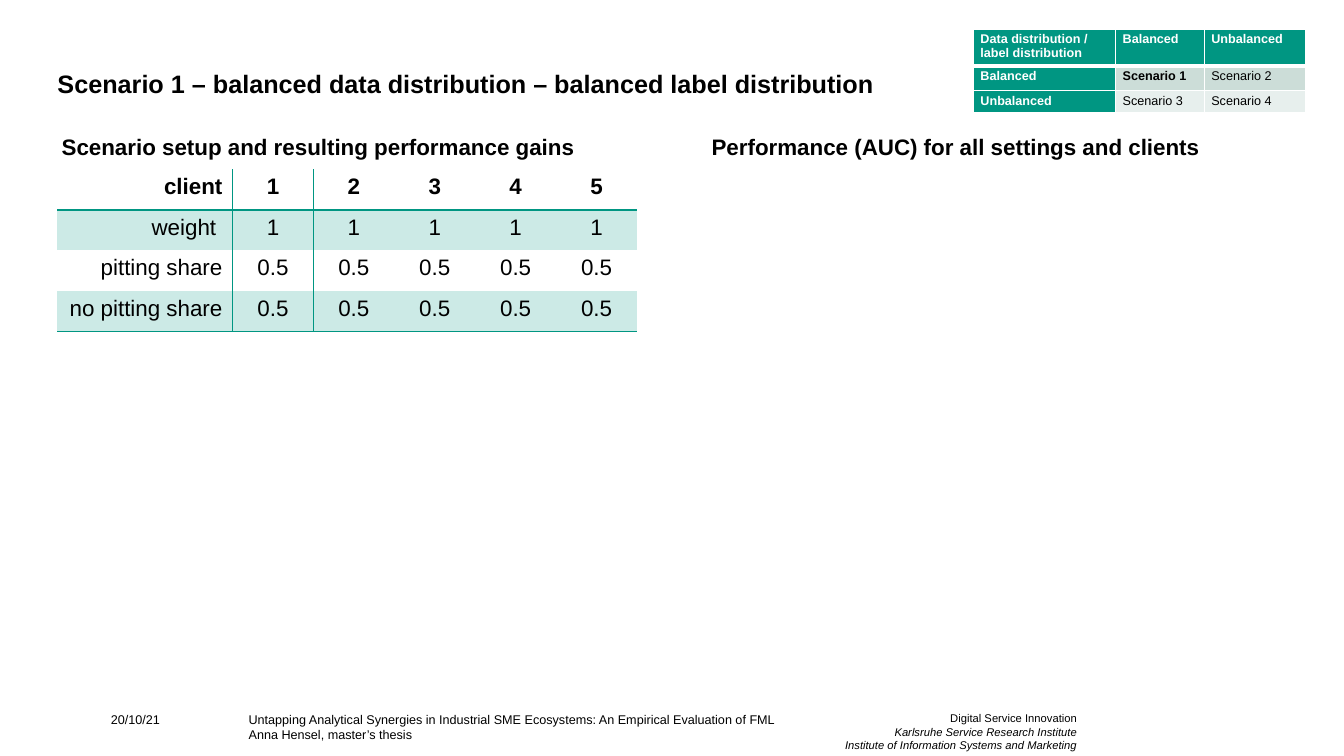
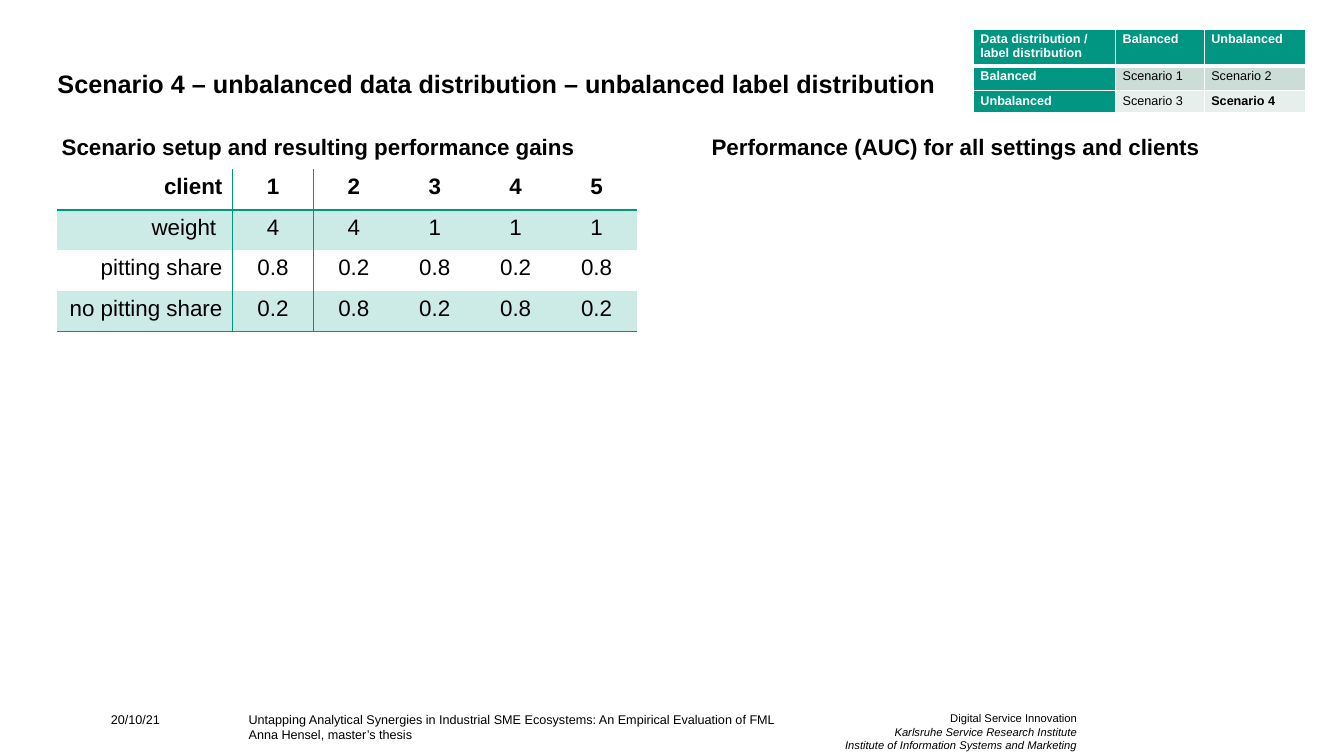
import dataclasses

import pptx
import pptx.dml.color
import pptx.enum.shapes
import pptx.enum.text
import pptx.oxml
import pptx.oxml.ns
import pptx.util


@dataclasses.dataclass(frozen=True)
class Theme:
    font: str = "Arial"
    ink: str = "000000"
    paper: str = "FFFFFF"
    green: str = "009682"
    mint: str = "CCEAE6"
    mid: str = "CCDDD8"
    pale: str = "E7EFED"
    title: int = 18
    body: int = 16
    small: int = 9
    tiny: int = 8


theme = Theme()
color = pptx.dml.color.RGBColor.from_string
ALIGN = pptx.enum.text.PP_ALIGN
ANCHOR = pptx.enum.text.MSO_ANCHOR
PLAIN = "{2D5ABB26-0587-4C30-8999-92F81FD0307C}"  # table style: no fill, no grid

deck = pptx.Presentation()
deck.slide_width = pptx.util.Inches(13.33)
deck.slide_height = pptx.util.Inches(7.5)
COL = deck.slide_width / 100
ROW = deck.slide_height / 100


def write(frame, text, size=theme.body, ink=theme.ink, bold=False, slant=(),
          align=ALIGN.LEFT, anchor=ANCHOR.TOP):
    """Fill a text frame, one paragraph a line; slant lists the italic lines."""
    frame.word_wrap = True
    frame.vertical_anchor = anchor
    frame.text = text
    for at, para in enumerate(frame.paragraphs):
        para.alignment = align
        font = para.font if not para.runs else para.runs[0].font
        font.name, font.size, font.bold = theme.font, pptx.util.Pt(size), bold
        font.italic = at in slant
        font.color.rgb = color(ink)


def grid(slide, left, top, cols, rows, cells, line, pad):
    """Add a table sized in percent; a cell is (text, fill, edges, format)."""
    box = [round(n) for n in (left * COL, top * ROW, sum(cols) * COL, sum(rows) * ROW)]
    table = slide.shapes.add_table(len(rows), len(cols), *box).table
    table.first_row = table.horz_banding = False
    table._tbl.tblPr.find(pptx.oxml.ns.qn("a:tableStyleId")).text = PLAIN
    for col, width in zip(table.columns, cols):
        col.width = round(width * COL)
    for row, height in zip(table.rows, rows):
        row.height = round(height * ROW)
    for r, row in enumerate(cells):
        for c, (text, fill, edges, form) in enumerate(row):
            cell = table.cell(r, c)
            write(cell.text_frame, text, **form)
            cell.margin_left = cell.margin_right = pptx.util.Inches(pad[0])
            cell.margin_top = cell.margin_bottom = pptx.util.Inches(pad[1])
            for side, width in edges:
                cell._tc.get_or_add_tcPr().append(pptx.oxml.parse_xml(
                    f'<a:ln{side} {pptx.oxml.ns.nsdecls("a")} w="{pptx.util.Pt(width)}">'
                    f'<a:solidFill><a:srgbClr val="{line}"/></a:solidFill>'
                    f'</a:ln{side}>'))
            if fill:
                cell.fill.solid()
                cell.fill.fore_color.rgb = color(fill)
    return table


LEFT = 4.28
FOOT = 94.13
FOOTER = [
    (8.25, 9.45, "20/10/21", dict(size=theme.small)),
    (18.5, 45.69,
     "Untapping Analytical Synergies in Industrial SME Ecosystems: "
     "An Empirical Evaluation of FML\nAnna Hensel, master’s thesis",
     dict(size=theme.small)),
    (62.3, 17.85,
     "Digital Service Innovation\nKarlsruhe Service Research Institute\n"
     "Institute of Information Systems and Marketing",
     dict(size=theme.tiny, slant=(1, 2), align=ALIGN.RIGHT)),
]
HEADS = [
    (52.21, 38.18, "Performance (AUC) for all settings and clients"),
    (3.85, 40.21, "Scenario setup and resulting performance gains"),
]
LEGEND = [
    ["Data distribution / label distribution", "Balanced", "Unbalanced"],
    ["Balanced", "Scenario 1", "Scenario 2"],
    ["Unbalanced", "Scenario 3", "Scenario 4"],
]
LABELS = ["weight ", "pitting share", "no pitting share "]
SLIDES = [  # name, kind, client values, heights of the open rows
    ("Scenario 1", "balanced", [
        ["1"] * 5,
        ["0.5"] * 5,
        ["0.5"] * 5], [5.2, 20, 5.37]),
    ("Scenario 4", "unbalanced", [
        ["4", "4", "1", "1", "1"],
        ["0.8", "0.2", "0.8", "0.2", "0.8"],
        ["0.2", "0.8", "0.2", "0.8", "0.2"]], [5.2, 20]),
]

for name, kind, data, spare in SLIDES:
    slide = deck.slides.add_slide(deck.slide_layouts[6])

    # Title and footer
    title = f"{name} – {kind} data distribution – {kind} label distribution"
    texts = [(LEFT, 4.9, 75.62, 8.13, title,
              dict(size=theme.title, bold=True, anchor=ANCHOR.BOTTOM))]
    texts += [(x, FOOT, w, 5.2, text, form) for x, w, text, form in FOOTER]
    for x, y, w, h, text, form in texts:
        frame = slide.shapes.add_textbox(
            round(x * COL), round(y * ROW), round(w * COL), round(h * ROW)).text_frame
        frame.margin_left = frame.margin_right = 0
        frame.margin_top = frame.margin_bottom = 0
        write(frame, text, **form)

    # Client table
    rows = [["client", "1", "2", "3", "4", "5"]]
    rows += [[label] + values for label, values in zip(LABELS, data)]
    cells = []
    for r, row in enumerate(rows):
        under = {0: [("B", 1.5)], 3: [("B", 1)]}.get(r, [])
        beside = {0: [("R", 1)], 1: [("L", 1)]}
        cells.append([
            (text, theme.mint if r % 2 else None, beside.get(c, []) + under,
             dict(bold=r == 0, align=ALIGN.CENTER if c else ALIGN.RIGHT))
            for c, text in enumerate(row)])
    table = grid(slide, 4.25, 22.4, [13.05] + [6.02] * 5, [5.37] * 4 + spare,
                 cells, theme.green, (0.1, 0.05))
    if len(spare) == 3:
        table.cell(6, 0).merge(table.cell(6, 5))

    # Section headings
    for x, w, text in HEADS:
        head = slide.shapes.add_shape(
            pptx.enum.shapes.MSO_SHAPE.RECTANGLE,
            round(x * COL), round(16.93 * ROW), round(w * COL), round(4.93 * ROW))
        head.shadow.inherit = False
        head.fill.solid()
        head.fill.fore_color.rgb = color(theme.paper)
        head.line.color.rgb = color(theme.paper)
        head.line.width = pptx.util.Pt(0.85)
        write(head.text_frame, text, bold=True, anchor=ANCHOR.MIDDLE)

    # Scenario legend
    cells = []
    for r, row in enumerate(LEGEND):
        edges = [("L", 1), ("R", 1), ("T", 3 if r == 1 else 1), ("B", 1 if r else 3)]
        cells.append([])
        for c, text in enumerate(row):
            head = r == 0 or c == 0
            fill = theme.green if head else (theme.mid, theme.pale)[r - 1]
            cells[r].append((text, fill, edges, dict(
                size=theme.small, bold=head or text == name,
                ink=theme.paper if head else theme.ink)))
    grid(slide, 72.43, 3.87, [10.58, 6.6, 7.5], [4.87, 3.27, 2.87],
         cells, theme.paper, (0.07, 0.03))

deck.save("out.pptx")
